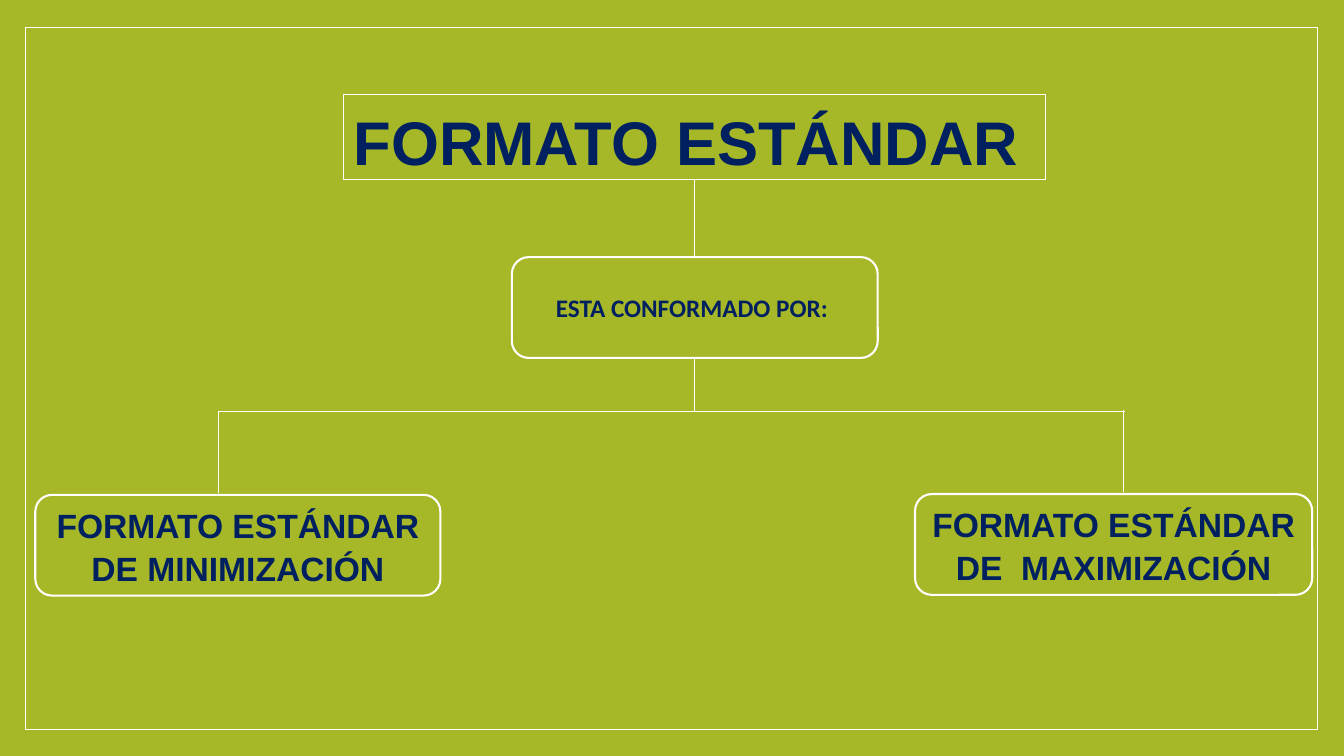
from pptx import Presentation
from pptx.dml.color import RGBColor
from pptx.enum.shapes import MSO_CONNECTOR, MSO_SHAPE
from pptx.enum.text import MSO_ANCHOR, MSO_AUTO_SIZE, PP_ALIGN
from pptx.oxml.ns import qn
from pptx.util import Cm, Pt
from lxml import etree

RECT, ROUND = MSO_SHAPE.RECTANGLE, MSO_SHAPE.ROUNDED_RECTANGLE
STRAIGHT = MSO_CONNECTOR.STRAIGHT
TOP, MIDDLE = MSO_ANCHOR.TOP, MSO_ANCHOR.MIDDLE
LEFT, CENTER = PP_ALIGN.LEFT, PP_ALIGN.CENTER
NO_FIT = MSO_AUTO_SIZE.NONE
GREEN, WHITE, NAVY = "A6B727", "FFFFFF", "002060"


def paint(color, value):
    color.rgb = RGBColor.from_string(value)


def write(sp, text, font, size, align, anchor, spacing):
    tf = sp.text_frame
    tf.word_wrap = True
    tf.auto_size = NO_FIT
    tf.vertical_anchor = anchor
    p = tf.paragraphs[0]
    p.alignment = align
    p.line_spacing = spacing
    r = p.add_run()
    r.text = text
    r.font.name, r.font.size, r.font.bold = font, Pt(size), True
    paint(r.font.color, NAVY)


prs = Presentation()
prs.slide_width, prs.slide_height = Cm(33.87), Cm(19.05)
s = prs.slides.add_slide(prs.slide_layouts[5])
s.background.fill.solid()
paint(s.background.fill.fore_color, GREEN)

# Frame
frame = s.shapes.add_shape(RECT, Cm(0.64), Cm(0.69), Cm(32.56), Cm(17.7))
frame.shadow.inherit = False
frame.fill.background()
frame.line.width = Pt(1)
paint(frame.line.color, WHITE)

# Title
title = s.shapes.title
title.left, title.top, title.width, title.height = Cm(8.66), Cm(2.39), Cm(17.7), Cm(2.13)
title.line.width = Pt(0.75)
paint(title.line.color, WHITE)
write(title, "FORMATO ESTÁNDAR", "Arial", 44, LEFT, TOP, 1.06)

# Boxes: left, top, width, text, font, size, line spacing
boxes = []
for x, y, w, text, font, size, spacing in [
    (12.9, 6.48, 9.22, "ESTA CONFORMADO POR: ", "Calibri", 18, 1),
    (0.89, 12.47, 10.21, "FORMATO ESTÁNDAR DE MINIMIZACIÓN", "Arial", 24, 1.06),
    (23.06, 12.45, 10.01, "FORMATO ESTÁNDAR DE  MAXIMIZACIÓN", "Arial", 24, 1.06),
]:
    sp = s.shapes.add_shape(ROUND, Cm(x), Cm(y), Cm(w), Cm(2.54))
    sp.shadow.inherit = False
    sp.fill.solid()
    paint(sp.fill.fore_color, GREEN)
    sp.line.width = Pt(1.5)
    paint(sp.line.color, WHITE)
    write(sp, text, font, size, CENTER, MIDDLE, spacing)
    boxes.append(sp)
link = boxes[0]

# Tree lines: ends, then the shapes joined at bottom and top
for x1, y1, x2, y2, above, below in [
    (17.51, 4.52, 17.51, 6.48, title, link),
    (17.51, 9.02, 17.51, 10.36, link, None),
    (5.49, 10.36, 28.35, 10.36, None, None),
    (5.51, 10.36, 5.51, 12.42, None, None),
    (28.32, 10.34, 28.32, 12.4, None, None),
]:
    line = s.shapes.add_connector(STRAIGHT, Cm(x1), Cm(y1), Cm(x2), Cm(y2))
    if above is not None:
        line.begin_connect(above, 2)
    if below is not None:
        line.end_connect(below, 0)
    line.line.width = Pt(0.79)
    paint(line.line.color, WHITE)
    etree.SubElement(line._element.spPr, qn("a:effectLst"))

prs.save("out.pptx")
